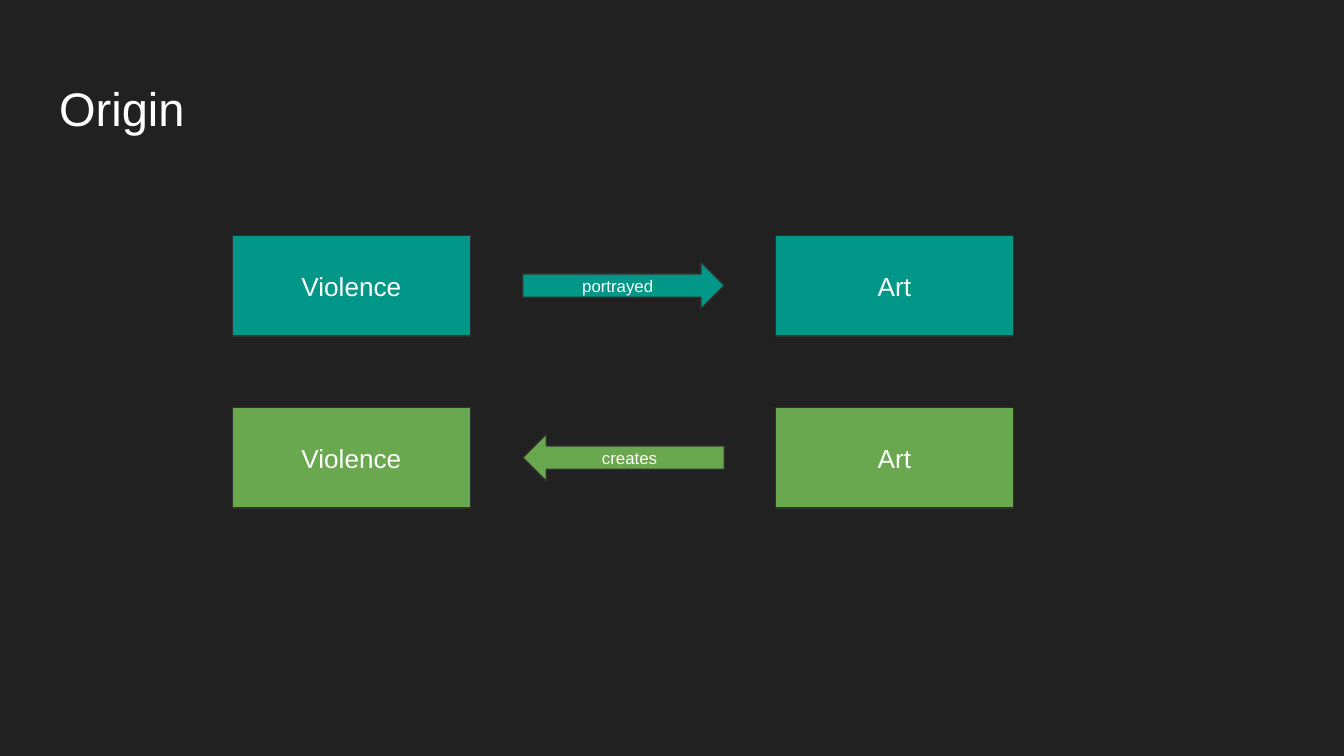
from pptx import Presentation
from pptx.dml.color import RGBColor
from pptx.enum.shapes import MSO_SHAPE
from pptx.enum.text import MSO_ANCHOR, PP_ALIGN
from pptx.util import Inches, Pt

BOX = MSO_SHAPE.RECTANGLE
RIGHT, LEFT = MSO_SHAPE.RIGHT_ARROW, MSO_SHAPE.LEFT_ARROW
TOP, MIDDLE = MSO_ANCHOR.TOP, MSO_ANCHOR.MIDDLE
START, CENTER = PP_ALIGN.LEFT, PP_ALIGN.CENTER

# Content: each row reads box, arrow, box
TITLE = "Origin"
ROWS = [
    ("009688", RIGHT, ("Violence", "portrayed", "Art")),
    ("6AA84F", LEFT, ("Violence", "creates", "Art")),
]

# Layout in inches, on a 16:9 slide
WIDTH = 10
HEIGHT = WIDTH * 9 / 16
ROW_TOP, ROW_STEP, ROW_H = 1.75, 1.28, 0.75
BOX_W, ARROW_W, ARROW_H = 1.77, 1.5, 0.35
BOX_X, ARROW_X, END_X = 1.73, 3.89, 5.77
PAD = Inches(0.1)


def color(code):
    return RGBColor.from_string(code)


def place(shape, x, y, w, h):
    shape.left, shape.top = Inches(x), Inches(y)
    shape.width, shape.height = Inches(w), Inches(h)


def write(shape, text, size, align, anchor):
    frame = shape.text_frame
    form = {"margin_left": PAD, "margin_right": PAD, "margin_top": PAD,
            "margin_bottom": PAD, "word_wrap": True,
            "vertical_anchor": anchor}
    for name, value in form.items():
        setattr(frame, name, value)
    frame.text = text
    para = frame.paragraphs[0]
    para.alignment = align
    font = para.runs[0].font
    for name, value in {"name": "Arial", "size": Pt(size)}.items():
        setattr(font, name, value)
    font.color.rgb = color("FFFFFF")


def block(slide, kind, fill, text, size, x, y, w, h):
    shape = slide.shapes.add_shape(kind, *map(Inches, (x, y, w, h)))
    shape.shadow.inherit = False
    shape.fill.solid()
    shape.fill.fore_color.rgb = color(fill)
    shape.line.color.rgb = color("303030")
    shape.line.width = Pt(0.75)
    write(shape, text, size, CENTER, MIDDLE)


def main():
    deck = Presentation()
    deck.slide_width, deck.slide_height = Inches(WIDTH), Inches(HEIGHT)
    slide = deck.slides.add_slide(deck.slide_layouts[5])
    slide.background.fill.solid()
    slide.background.fill.fore_color.rgb = color("212121")

    # Title
    title = slide.shapes.title
    place(title, 0.34, 0.49, 9.32, 0.63)
    write(title, TITLE, 25.2, START, TOP)

    # Rows of two boxes joined by a labelled arrow
    for i, (fill, arrow, (first, verb, last)) in enumerate(ROWS):
        y = ROW_TOP + i * ROW_STEP
        mid = y + (ROW_H - ARROW_H) / 2
        for x, text in ((BOX_X, first), (END_X, last)):
            block(slide, BOX, fill, text, 14, x, y, BOX_W, ROW_H)
        block(slide, arrow, fill, verb, 9, ARROW_X, mid, ARROW_W, ARROW_H)

    deck.save("out.pptx")


if __name__ == "__main__":
    main()
